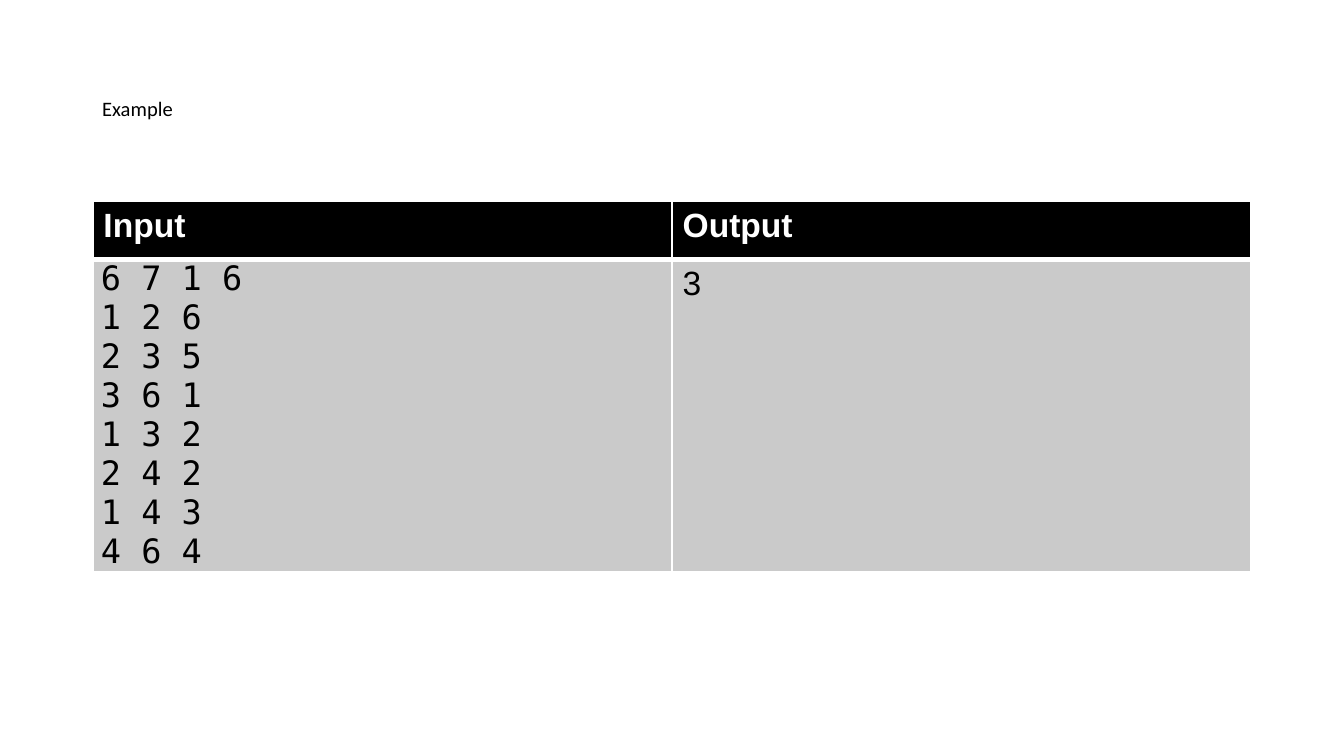
"""Build the Example slide with its input and output table."""
from dataclasses import dataclass

from lxml.etree import SubElement
from pptx import Presentation
from pptx.dml.color import RGBColor
from pptx.enum.text import MSO_ANCHOR, MSO_AUTO_SIZE, PP_ALIGN
from pptx.oxml.ns import qn
from pptx.table import _Cell
from pptx.text.text import TextFrame
from pptx.util import Inches, Pt

BLACK = RGBColor(0x00, 0x00, 0x00)
WHITE = RGBColor(0xFF, 0xFF, 0xFF)
GREY = RGBColor(0xCA, 0xCA, 0xCA)
SLIDE_W = Inches(10)
SLIDE_H = SLIDE_W * 9 // 16
LEFT = Inches(0.69)
CONTENT_W = SLIDE_W - 2 * LEFT
TITLE_TOP, TITLE_H = Inches(0.27), Inches(1.09)
TABLE_TOP = Inches(1.5)
ROW_HEIGHTS = (Inches(0.43), Inches(1.87))


@dataclass(frozen=True)
class Style:
    """Look of a run of text."""
    font: str
    size: float
    color: RGBColor
    bold: bool = False


@dataclass(frozen=True)
class CellSpec:
    """Lines and look of one table cell."""
    lines: tuple[str, ...]
    style: Style
    fill: RGBColor
    inset: tuple[float, float] = (0.08, 0.04)


TITLE = Style("Calibri", 11, BLACK)
HEAD = Style("Arial", 18, WHITE, True)
BODY = Style("Arial", 18, BLACK)
CODE = Style("DejaVu Sans Mono", 18, BLACK)
SAMPLE = ("6 7 1 6", "1 2 6", "2 3 5", "3 6 1", "1 3 2", "2 4 2", "1 4 3", "4 6 4")
ROWS = (
    (CellSpec(("Input",), HEAD, BLACK), CellSpec(("Output",), HEAD, BLACK)),
    (CellSpec(SAMPLE, CODE, GREY, (0.06, 0)), CellSpec(("3",), BODY, GREY)),
)


def write(tf: TextFrame, lines: tuple[str, ...], style: Style) -> None:
    """Write one left-aligned paragraph for each line."""
    for i, line in enumerate(lines):
        p = tf.add_paragraph() if i else tf.paragraphs[0]
        p.alignment = PP_ALIGN.LEFT
        r = p.add_run()
        r.text = line
        r.font.name, r.font.size, r.font.bold = style.font, Pt(style.size), style.bold
        r.font.color.rgb = style.color


def set_borders(cell: _Cell, top: float, bottom: float) -> None:
    """Give a cell white edges, one point wide at the sides."""
    props = cell._tc.get_or_add_tcPr()
    edges = (("lnL", 1), ("lnR", 1), ("lnT", top), ("lnB", bottom))
    for i, (tag, width) in enumerate(edges):
        ln = SubElement(props, qn(f"a:{tag}"), w=str(Pt(width)))
        SubElement(SubElement(ln, qn("a:solidFill")), qn("a:srgbClr"), val=str(WHITE))
        props.insert(i, ln)


def fill_cell(cell: _Cell, spec: CellSpec) -> None:
    """Set the fill, insets and text of a cell."""
    cell.fill.solid()
    cell.fill.fore_color.rgb = spec.fill
    x, y = map(Inches, spec.inset)
    cell.margin_left = cell.margin_right = x
    cell.margin_top = cell.margin_bottom = y
    cell.vertical_anchor = MSO_ANCHOR.TOP
    write(cell.text_frame, spec.lines, spec.style)


def main() -> None:
    """Build and save the slide."""
    prs = Presentation()
    prs.slide_width, prs.slide_height = SLIDE_W, SLIDE_H
    s = prs.slides.add_slide(prs.slide_layouts[5])

    title = s.shapes.title
    title.left, title.top, title.width, title.height = LEFT, TITLE_TOP, CONTENT_W, TITLE_H
    tf = title.text_frame
    tf.auto_size, tf.vertical_anchor = MSO_AUTO_SIZE.NONE, MSO_ANCHOR.MIDDLE
    tf.margin_left = tf.margin_right = Inches(0.07)
    tf.margin_top = tf.margin_bottom = Inches(0.04)
    write(tf, ("Example",), TITLE)
    tf.paragraphs[0].line_spacing = 0.9

    table = s.shapes.add_table(
        len(ROWS), len(ROWS[0]), LEFT, TABLE_TOP, CONTENT_W, sum(ROW_HEIGHTS)
    ).table
    for i, (specs, height) in enumerate(zip(ROWS, ROW_HEIGHTS)):
        table.rows[i].height = height
        for j, spec in enumerate(specs):
            cell = table.cell(i, j)
            fill_cell(cell, spec)
            set_borders(cell, top=3 if i else 1, bottom=1 if i else 3)

    prs.save("out.pptx")


if __name__ == "__main__":
    main()
